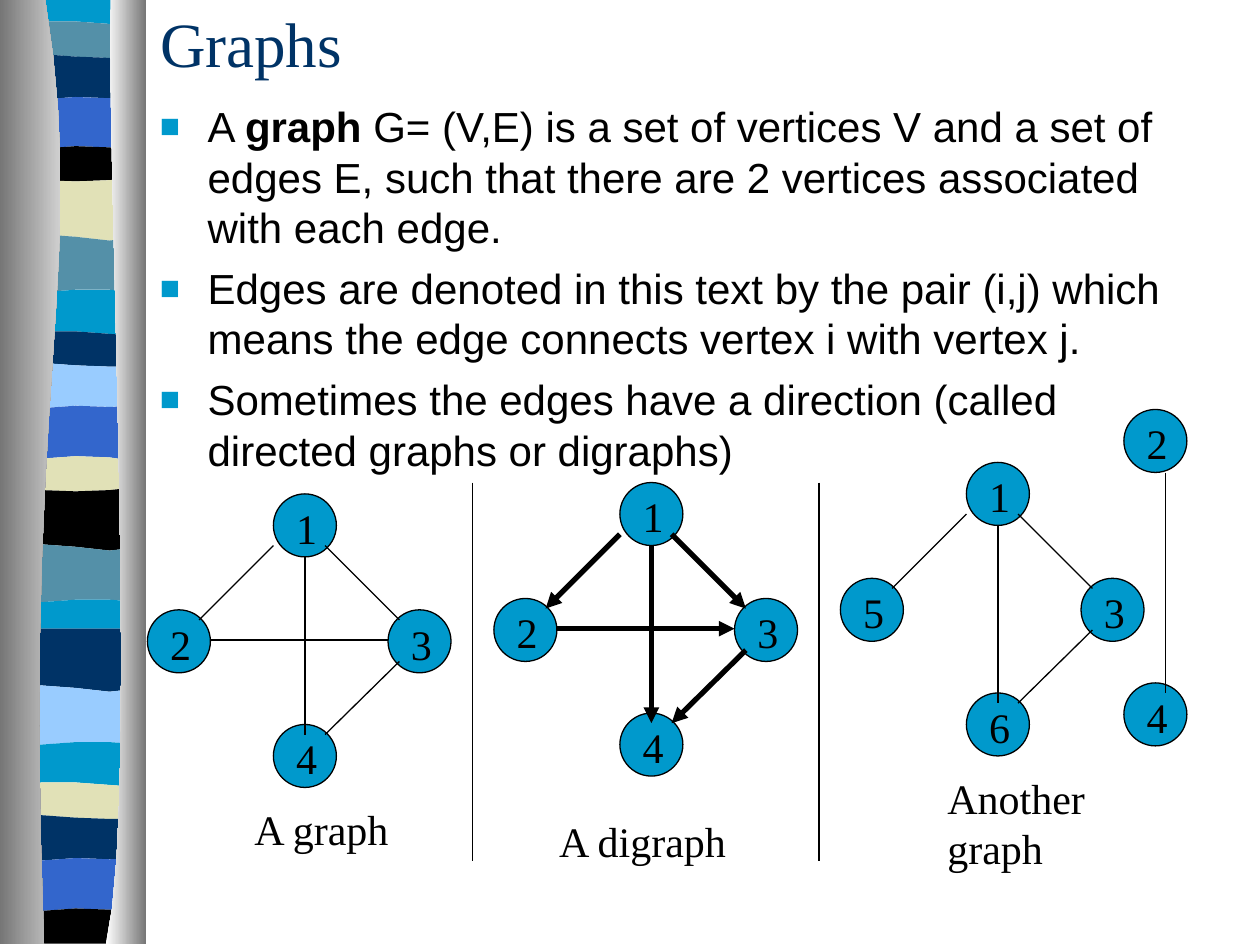
from lxml.etree import SubElement
from pptx import Presentation
from pptx.dml.color import RGBColor
from pptx.enum.shapes import MSO_CONNECTOR, MSO_SHAPE
from pptx.enum.text import MSO_ANCHOR, PP_ALIGN
from pptx.oxml.ns import qn
from pptx.util import Inches, Pt

CYAN = RGBColor(0x00, 0x99, 0xCC)
TEAL = RGBColor(0x54, 0x90, 0xA8)
NAVY = RGBColor(0x00, 0x33, 0x66)
BLUE = RGBColor(0x33, 0x66, 0xCC)
BLACK = RGBColor(0x00, 0x00, 0x00)
CREAM = RGBColor(0xE1, 0xE1, 0xB7)
SKY = RGBColor(0x99, 0xCC, 0xFF)
GRAY = RGBColor(0x76, 0x76, 0x76)
SILVER = RGBColor(0xD0, 0xD0, 0xD0)
WHITE = RGBColor(0xFF, 0xFF, 0xFF)
SERIF, SANS = "Times New Roman", "Arial"

TITLE = "Graphs"
BULLETS = [
    [("A ", False), ("graph", True),
     (" G= (V,E) is a set of vertices V and a set of edges E, such that "
      "there are 2 vertices associated with each edge.", False)],
    [("Edges are denoted in this text by the pair (i,j) which means the "
      "edge connects vertex i with vertex j.", False)],
    [("Sometimes the edges have a direction (called directed graphs or "
      "digraphs)", False)],
]

NODE_PLACES = {"top": (1, 0), "left": (0, 0.92), "right": (1.91, 0.92),
               "bottom": (1, 1.83), "far top": (2.25, -0.42),
               "far bottom": (2.25, 1.75)}
EDGE_PLACES = {
    "top-bottom": (1.25, 0.5, 1.25, 1.91),
    "left-right": (0.5, 1.16, 1.91, 1.16),
    "top-right": (1.41, 0.41, 2, 1),
    "top-left": (1, 0.41, 0.41, 1),
    "right-bottom": (2, 1.33, 1.41, 1.91),
    "far": (2.58, 0.08, 2.58, 1.83),
}
DIAMOND_EDGES = ["top-bottom", "top-right", "top-left", "right-bottom"]
GRAPHS = [
    {"origin": (1.17, 3.92), "directed": False,
     "nodes": {"top": "1", "left": "2", "right": "3", "bottom": "4"},
     "edges": DIAMOND_EDGES + ["left-right"],
     "caption": ("A graph", 0.75, 2.41, 1.28)},
    {"origin": (3.92, 3.83), "directed": True,
     "nodes": {"top": "1", "left": "2", "right": "3", "bottom": "4"},
     "edges": DIAMOND_EDGES + ["left-right"],
     "caption": ("A digraph", 0.42, 2.59, 1.54)},
    {"origin": (6.67, 3.67), "directed": False,
     "nodes": {"top": "1", "left": "5", "right": "3", "bottom": "6",
               "far top": "2", "far bottom": "4"},
     "edges": DIAMOND_EDGES + ["far"],
     "caption": ("Another graph", 0.75, 2.41, 2.13)},
]
DIVIDERS = [3.75, 6.5]

BAND_X = (0.06, 0.33, 0.6, 0.87, 1.14)
WAVES = {
    "flat": (0, 0, 0, 0, 0),
    "crest": (0.04, 0, 0, 0.02, 0.04),
    "swell": (0, -0.03, -0.01, 0, 0),
    "ripple": (0, 0.02, 0, 0.01, 0),
    "arch": (0, -0.03, -0.05, -0.04, 0),
    "bowl": (0, 0.03, 0.04, 0.03, 0),
    "wave": (0, -0.02, 0, 0.03, 0),
    "drift": (0, 0, -0.02, -0.02, 0),
}
BANDS = [
    (CYAN, 0, "flat"), (TEAL, 0.17, "crest"), (NAVY, 0.46, "swell"),
    (BLUE, 0.77, "ripple"), (BLACK, 1.21, "arch"), (CREAM, 1.4, "bowl"),
    (TEAL, 1.88, "wave"), (CYAN, 2.32, "drift"), (NAVY, 2.63, "crest"),
    (SKY, 2.91, "swell"), (BLUE, 3.22, "ripple"), (CREAM, 3.67, "arch"),
    (BLACK, 3.86, "bowl"), (TEAL, 4.34, "wave"), (CYAN, 4.78, "drift"),
    (NAVY, 4.99, "flat"), (SKY, 5.46, "wave"), (CYAN, 5.91, "drift"),
    (CREAM, 6.21, "crest"), (NAVY, 6.5, "swell"), (BLUE, 6.81, "ripple"),
    (BLACK, 7.26, "arch"),
]
BAND_END = (None, 7.49, "flat")
PANELS = [
    (0, [(0.36, 0), (0.71, 2.16), (0.17, 2.96), (0.35, 7.49)], GRAY, SILVER),
    (1.16, [(0.88, 0), (0.84, 1.25), (1.11, 6.46), (0.84, 7.49)], WHITE, GRAY),
]


def curve(controls, steps=14):
    points = []
    for step in range(steps + 1):
        t = step / steps
        weights = ((1 - t) ** 3, 3 * t * (1 - t) ** 2, 3 * t * t * (1 - t), t ** 3)
        points.append(tuple(sum(weight * control[axis] for weight, control
                                in zip(weights, controls)) for axis in (0, 1)))
    return points


def wavy_edge(band):
    _, top, wave = band
    return [(x, top + offset) for x, offset in zip(BAND_X, WAVES[wave])]


def add_outline(slide, points):
    start, *rest = [(Inches(x), Inches(y)) for x, y in points]
    builder = slide.shapes.build_freeform(*start, scale=1.0)
    builder.add_line_segments(rest, close=True)
    shape = builder.convert_to_shape()
    shape.shadow.inherit = False
    shape.line.fill.background()
    return shape


def add_side_art(slide):
    for band, following in zip(BANDS, BANDS[1:] + [BAND_END]):
        shape = add_outline(slide, wavy_edge(band) + wavy_edge(following)[::-1])
        shape.fill.solid()
        shape.fill.fore_color.rgb = band[0]
    for side, controls, first, last in PANELS:
        shape = add_outline(slide, curve(controls) + [(side, 7.49), (side, 0)])
        shape.fill.gradient()
        shape.fill.gradient_angle = 0
        for stop, color in zip(shape.fill.gradient_stops, (first, last)):
            stop.color.rgb = color


def add_run(paragraph, text, color=BLACK, **format_values):
    run = paragraph.add_run()
    run.text = text
    values = {"name": SERIF, "size": Pt(24), "bold": False, **format_values}
    for name, value in values.items():
        setattr(run.font, name, value)
    run.font.color.rgb = color


def add_bullet(paragraph):
    paragraph.space_before = Pt(6)
    properties = paragraph._p.get_or_add_pPr()
    properties.set("marL", str(Inches(0.38)))
    properties.set("indent", str(-Inches(0.38)))
    color = SubElement(properties, qn("a:buClr"))
    SubElement(color, qn("a:srgbClr"), val=str(CYAN))
    SubElement(properties, qn("a:buSzPct"), val="80000")
    SubElement(properties, qn("a:buFont"), typeface=SANS)
    SubElement(properties, qn("a:buChar"), char="■")


def add_line(slide, points, directed=False):
    line = slide.shapes.add_connector(MSO_CONNECTOR.STRAIGHT, *map(Inches, points))
    line.line.color.rgb = BLACK
    line.line.width = Pt(3 if directed else 0.75)
    if directed:
        SubElement(line.line._get_or_add_ln(), qn("a:tailEnd"), type="triangle")
    SubElement(line._element.spPr, qn("a:effectLst"))


def add_node(slide, label, x, y):
    node = slide.shapes.add_shape(MSO_SHAPE.OVAL, *map(Inches, (x, y, 0.5, 0.5)))
    node.shadow.inherit = False
    node.fill.solid()
    node.fill.fore_color.rgb = CYAN
    node.line.color.rgb = BLACK
    node.line.width = Pt(0.75)
    frame = node.text_frame
    for name, value in {"margin_left": Inches(0.03), "margin_right": 0,
                        "margin_top": Inches(0.03), "margin_bottom": 0,
                        "vertical_anchor": MSO_ANCHOR.MIDDLE,
                        "word_wrap": False}.items():
        setattr(frame, name, value)
    frame.paragraphs[0].alignment = PP_ALIGN.CENTER
    add_run(frame.paragraphs[0], label)


def add_graph(slide, graph):
    left, top = graph["origin"]
    for place, label in graph["nodes"].items():
        x, y = NODE_PLACES[place]
        add_node(slide, label, left + x, top + y)
    for edge in graph["edges"]:
        x1, y1, x2, y2 = EDGE_PLACES[edge]
        add_line(slide, (left + x1, top + y1, left + x2, top + y2), graph["directed"])
    text, x, y, width = graph["caption"]
    caption = slide.shapes.add_textbox(*map(Inches, (left + x, top + y, width, 0.5)))
    caption.text_frame.word_wrap = False
    add_run(caption.text_frame.paragraphs[0], text)


def main():
    presentation = Presentation()
    presentation.slide_width, presentation.slide_height = Inches(10), Inches(7.5)
    slide = presentation.slides.add_slide(presentation.slide_layouts[5])
    add_side_art(slide)

    title = slide.shapes.title
    for name, value in {"left": 1.17, "top": 0, "width": 8.5, "height": 0.67}.items():
        setattr(title, name, Inches(value))
    title.text_frame.vertical_anchor = MSO_ANCHOR.MIDDLE
    title.text_frame.paragraphs[0].alignment = PP_ALIGN.LEFT
    add_run(title.text_frame.paragraphs[0], TITLE, NAVY, size=Pt(36))

    body = slide.shapes.add_textbox(*map(Inches, (1.17, 0.75, 8.5, 3.08))).text_frame
    body.word_wrap = True
    for index, runs in enumerate(BULLETS):
        paragraph = body.add_paragraph() if index else body.paragraphs[0]
        add_bullet(paragraph)
        for text, bold in runs:
            add_run(paragraph, text, name=SANS, bold=bold)

    for graph in GRAPHS:
        add_graph(slide, graph)
    for x in DIVIDERS:
        add_line(slide, (x, 3.83, x, 6.83))
    presentation.save("out.pptx")


if __name__ == "__main__":
    main()
